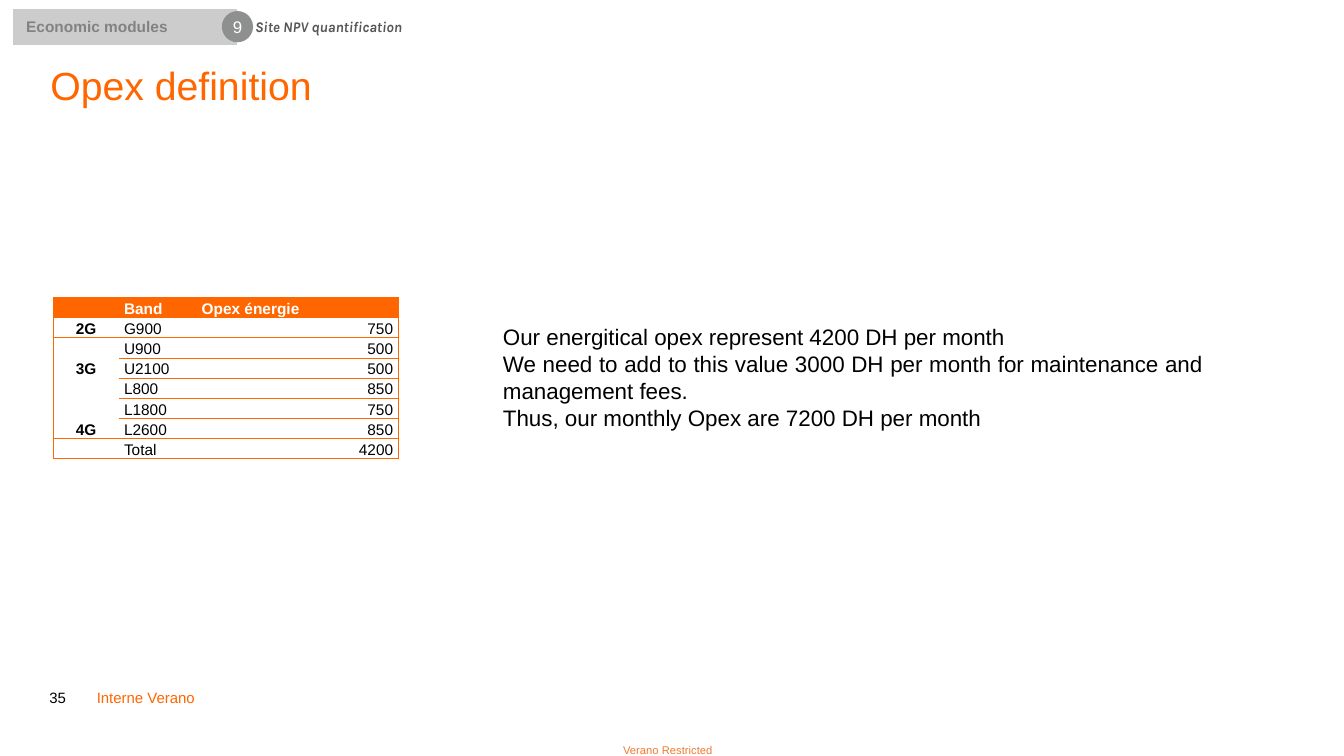
from lxml.etree import SubElement
from pptx import Presentation
from pptx.dml.color import RGBColor
from pptx.enum.shapes import MSO_SHAPE as SHAPE
from pptx.enum.text import MSO_ANCHOR as ANCHOR, PP_ALIGN as ALIGN
from pptx.oxml.ns import qn
from pptx.util import Inches, Pt

ORANGE = RGBColor(0xFF, 0x66, 0x00)
AMBER = RGBColor(0xED, 0x7D, 0x31)
BLACK = RGBColor(0x00, 0x00, 0x00)
WHITE = RGBColor(0xFF, 0xFF, 0xFF)
SILVER = RGBColor(0xCC, 0xCC, 0xCC)
GRAY = RGBColor(0x8E, 0x90, 0x8F)
LABEL_GRAY = RGBColor(0x82, 0x82, 0x82)
DARK_GRAY = RGBColor(0x57, 0x57, 0x57)

CELL = Inches(0.1)
BANDS = [("2G", ["G900"], [750]),
         ("3G", ["U900", "U2100"], [500, 500]),
         ("4G", ["L800", "L1800", "L2600"], [850, 750, 850])]
COMMENTS = [
    "Our energitical opex represent 4200 DH per month",
    "We need to add to this value 3000 DH per month for maintenance and management fees.",
    "Thus, our monthly Opex are 7200 DH per month"]


def grid(*cells):
    return [round(n * CELL) for n in cells]


def sub(box, x, y, w, h):
    return box[0] + x, box[1] + y, w, h


def write(tf, lines, size, color, font="Arial", bold=False, italic=False,
          align=ALIGN.LEFT, anchor=ANCHOR.TOP, inset=(0, 0), spacing=None, after=0):
    tf.word_wrap = True
    tf.vertical_anchor = anchor
    tf.margin_left = tf.margin_right = round(inset[0] * CELL)
    tf.margin_top = tf.margin_bottom = round(inset[1] * CELL)
    tf.text = "\n".join(lines)
    for p in tf.paragraphs:
        p.alignment = align
        p.space_after = Pt(after)
        if spacing:
            p.line_spacing = spacing
        for r in p.runs:
            f = r.font
            f.name, f.size, f.bold, f.italic = font, Pt(size), bold, italic
            f.color.rgb = color


def add_text(slide, box, lines, size, color, **style):
    tb = slide.shapes.add_textbox(*box)
    write(tb.text_frame, lines, size, color, **style)


def add_block(slide, kind, box, fill, line=None):
    sp = slide.shapes.add_shape(kind, *box)
    sp.shadow.inherit = False
    sp.fill.solid()
    sp.fill.fore_color.rgb = fill
    if line is None:
        sp.line.fill.background()
    else:
        sp.line.color.rgb = line
        sp.line.width = Pt(0.75)
    return sp.text_frame


def add_breadcrumb(slide, box):
    bar = add_block(slide, SHAPE.RECTANGLE, sub(box, *grid(0, 0, 22.4, 3.7)), SILVER, WHITE)
    write(bar, ["Economic modules"], 11, LABEL_GRAY, bold=True,
          anchor=ANCHOR.MIDDLE, inset=(1.4, 0.5))
    add_text(slide, sub(box, *grid(22.4, 0, 37.1, 3.7)), ["Site NPV quantification"],
             10.5, DARK_GRAY, font="Karla", bold=True, italic=True,
             anchor=ANCHOR.MIDDLE, inset=(1.7, 0))
    badge = add_block(slide, SHAPE.OVAL, sub(box, *grid(20.8, 0.3, 3.1, 3.1)), GRAY)
    write(badge, ["9"], 12, WHITE, align=ALIGN.CENTER, anchor=ANCHOR.MIDDLE)


def set_borders(cell, sides):
    tcPr = cell._tc.get_or_add_tcPr()
    for side in "LRTB":
        ln = SubElement(tcPr, qn(f"a:ln{side}"), w=str(Pt(0.5)))
        if side in sides:
            fill = SubElement(ln, qn("a:solidFill"))
            SubElement(fill, qn("a:srgbClr"), val=str(ORANGE))
        else:
            SubElement(ln, qn("a:noFill"))


def add_opex_table(slide, box):
    rows = [["", "Band", "Opex énergie"]]
    rules = {0, 1}
    merges = []
    for name, bands, values in BANDS:
        first = len(rows)
        for i, (band, value) in enumerate(zip(bands, values)):
            rows.append(["" if i else name, band, str(value)])
        merges.append((first, len(rows) - 1))
        if name != "3G":
            rules.add(len(rows))
    total = sum(sum(values) for _, _, values in BANDS)
    rows.append(["", "Total", str(total)])
    rules.add(len(rows))

    table = slide.shapes.add_table(len(rows), 3, *box).table
    table.first_row = table.horz_banding = False
    for col, width in zip(table.columns, grid(6.5, 7.7, 20)):
        col.width = width
    for r, row in enumerate(rows):
        table.rows[r].height = round(box[3] / len(rows))
        for c, text in enumerate(row):
            cell = table.cell(r, c)
            align = [ALIGN.CENTER, ALIGN.LEFT, ALIGN.RIGHT if r else ALIGN.LEFT][c]
            write(cell.text_frame, [text], 11, BLACK if r else WHITE,
                  bold=r == 0 or c == 0, align=align)
            if not text:
                p = cell.text_frame.paragraphs[0]
                p._p.get_or_add_endParaRPr().set("sz", "1100")
            cell.vertical_anchor = ANCHOR.BOTTOM
            cell.margin_left = cell.margin_right = round(0.5 * CELL)
            cell.margin_top = cell.margin_bottom = 0
            sides = ["L", "", "R"][c]
            sides += "T" if c or r in rules else ""
            sides += "B" if c or r + 1 in rules else ""
            set_borders(cell, sides)
            cell.fill.solid()
            cell.fill.fore_color.rgb = WHITE if r else ORANGE
    for first, last in merges:
        if last > first:
            table.cell(first, 0).merge(table.cell(last, 0))


def add_footer(slide, box):
    style = dict(anchor=ANCHOR.BOTTOM, spacing=0.85, after=16)
    add_text(slide, sub(box, *grid(0, 0, 4, 5)), ["35"], 10.7, BLACK, **style)
    add_text(slide, sub(box, *grid(4.7, 0, 118.9, 5)), ["Interne Verano"], 10.7, ORANGE, **style)
    add_text(slide, sub(box, *grid(56.9, 8.6, 10.1, 1.3)), ["Verano Restricted"], 8, AMBER)


def main():
    prs = Presentation()
    prs.slide_width, prs.slide_height = Inches(13.33), Inches(7.5)
    slide = prs.slides.add_slide(prs.slide_layouts[6])
    add_footer(slide, grid(4.9, 65.1, 123.6, 9.9))
    add_text(slide, grid(5, 6.6, 123.5, 9.1), ["Opex definition"], 28, ORANGE, spacing=0.9)
    add_breadcrumb(slide, grid(1.2, 0.8, 59.5, 3.7))
    add_opex_table(slide, grid(5.3, 29.5, 34.2, 16))
    add_text(slide, grid(48.9, 31.6, 71.4, 11.8), COMMENTS, 16, BLACK,
             align=ALIGN.JUSTIFY, inset=(1, 0.5))
    prs.save("out.pptx")


if __name__ == "__main__":
    main()
